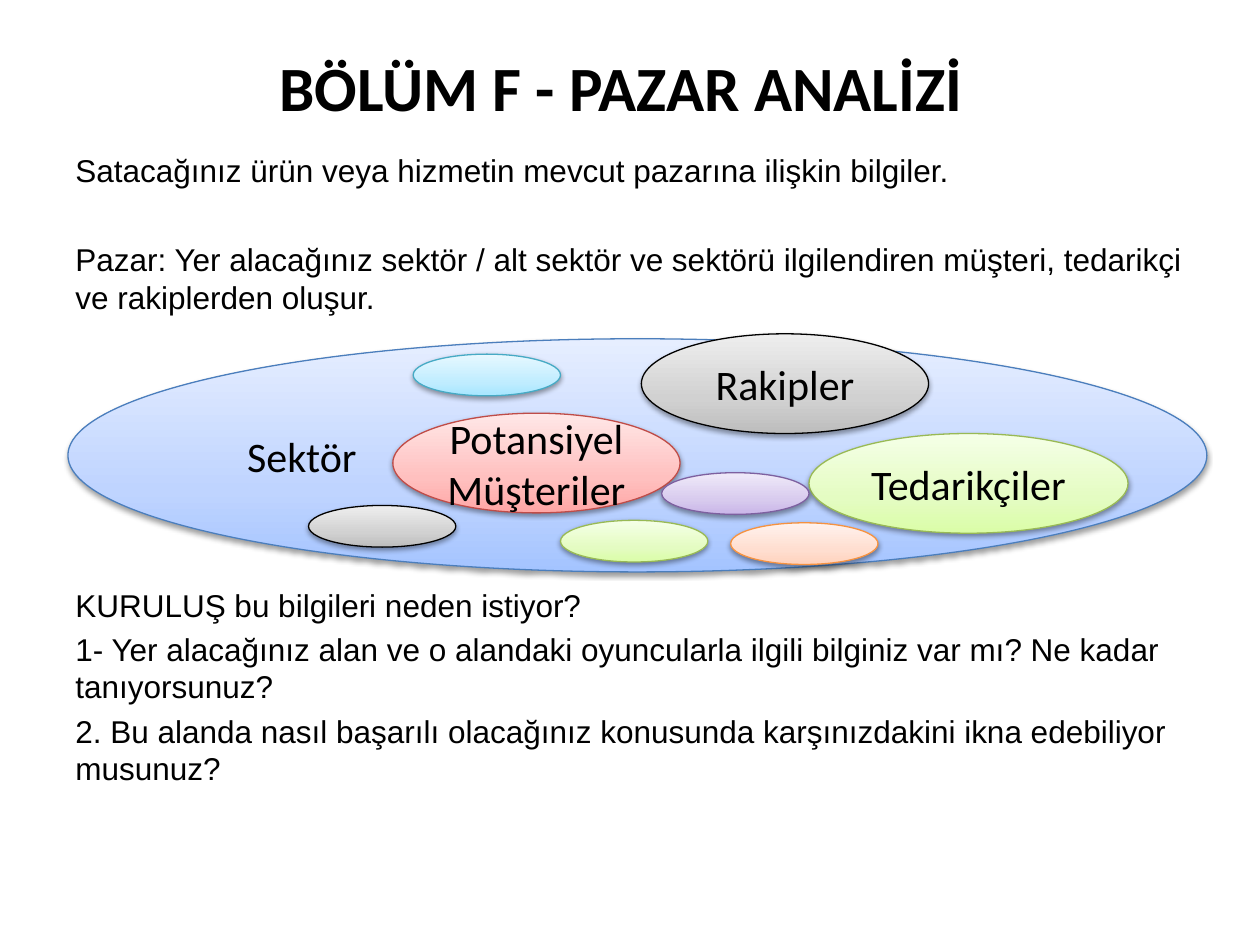
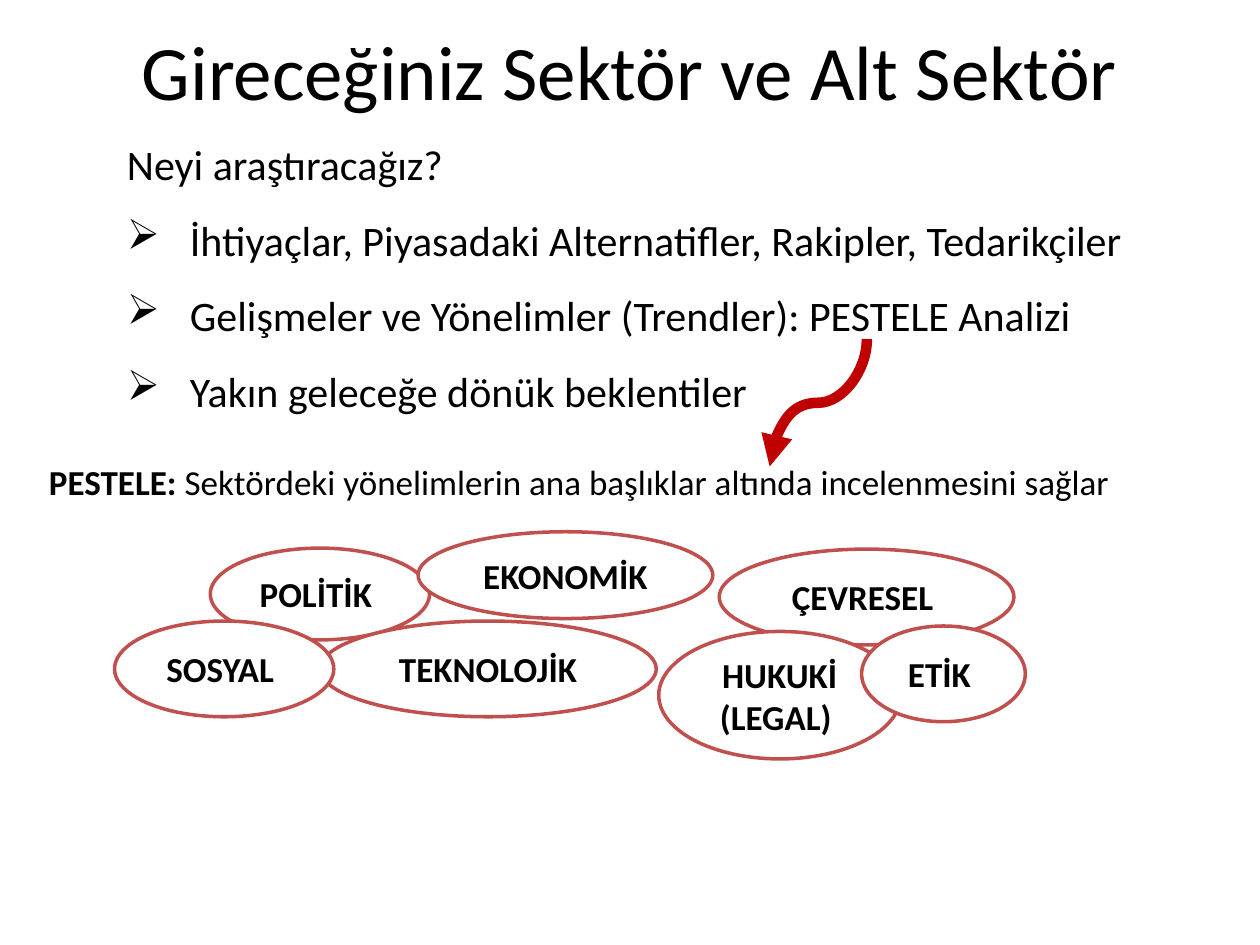
from lxml import etree
from pptx import Presentation
from pptx import util as u
from pptx.dml.color import RGBColor
from pptx.enum import shapes, text
from pptx.oxml import ns

BLACK = RGBColor(0x00, 0x00, 0x00)
WHITE = RGBColor(0xFF, 0xFF, 0xFF)
DARK_RED = RGBColor(0xC0, 0x00, 0x00)
BRICK = RGBColor(0xC0, 0x50, 0x4D)

# Each tint: outline, then the gradient from bottom to top
GRADIENT_POSITIONS = (0, 35, 100)
BLUE, RED, GREEN, GREY, PURPLE, ORANGE, AQUA = (
    tuple(RGBColor.from_string(code) for code in codes.split())
    for codes in (
        "4B7EBC A4C4FF BFD4FF E6EEFF",
        "BF4C48 FFA6A5 FFC0BF FFE7E7",
        "98B955 DAFDA7 E4FCC2 F5FFE7",
        "000000 BDBDBD D1D1D1 EEEEEE",
        "7D60A0 C9B5E8 D8CBEE F0EAF9",
        "F69240 FFD2BD FFDED0 FFF2ED",
        "46AAC5 A7E6FF C1EDFF E7F8FF",
    )
)

LEFT, CENTER = text.PP_ALIGN.LEFT, text.PP_ALIGN.CENTER
TOP, MIDDLE = text.MSO_ANCHOR.TOP, text.MSO_ANCHOR.MIDDLE


def add_xml(parent, tag, **attributes):
    return etree.SubElement(parent, ns.qn(tag), attributes)


def write(frame, paragraphs, font="Calibri", size=24, bold=False, align=LEFT,
          anchor=TOP, spacing=None, before=0, wrap=True, bullets_from=None):
    """Fill a frame; a paragraph is a string or a list of (string, bold) runs."""
    frame.word_wrap = wrap
    frame.vertical_anchor = anchor
    for index, content in enumerate(paragraphs):
        paragraph = frame.add_paragraph() if index else frame.paragraphs[0]
        paragraph.alignment = align
        if spacing:
            paragraph.line_spacing = spacing
        if before and index:
            paragraph.space_before = u.Pt(before)
        if bullets_from is not None and index >= bullets_from:
            properties = paragraph._p.get_or_add_pPr()
            properties.set("marL", str(u.Cm(1.27)))
            properties.set("indent", str(-u.Cm(1.27)))
            add_xml(properties, "a:buChar", char="➢")
        runs = [(content, bold)] if isinstance(content, str) else content
        for words, is_bold in runs:
            run = paragraph.add_run()
            run.text = words
            run.font.name = font
            run.font.size = u.Pt(size)
            run.font.bold = is_bold
            run.font.color.rgb = BLACK


class Deck:
    def __init__(self):
        self.presentation = Presentation()
        self.presentation.slide_width = u.Cm(25.4)
        self.presentation.slide_height = u.Cm(19.05)
        self.slide = None

    def new_slide(self):
        blank = self.presentation.slide_layouts[6]
        self.slide = self.presentation.slides.add_slide(blank)

    def text_box(self, box, paragraphs, **style):
        frame = self.slide.shapes.add_textbox(*map(u.Cm, box)).text_frame
        write(frame, paragraphs, **style)

    def title(self, box, words, **style):
        self.text_box(box, [words], align=CENTER, anchor=MIDDLE, **style)

    def ellipse(self, box, outline, width, label=None, **style):
        oval = self.slide.shapes.add_shape(
            shapes.MSO_SHAPE.OVAL, *map(u.Cm, box))
        oval.shadow.inherit = False
        oval.fill.solid()
        oval.fill.fore_color.rgb = WHITE
        oval.line.color.rgb = outline
        oval.line.width = u.Pt(width)
        if label:
            write(oval.text_frame, [label], anchor=MIDDLE, **style)
        return oval

    def glossy_ellipse(self, box, tint, label=None, align=CENTER):
        """Ellipse with a three-stop gradient and a soft shadow below."""
        outline, *stops = tint
        oval = self.ellipse(box, outline, 0.75, label, align=align)
        oval.fill.gradient()
        oval.fill.gradient_angle = 90
        properties = oval._element.spPr
        stop_list = properties.find(".//" + ns.qn("a:gsLst"))
        stop_list.clear()
        for position, color in zip(GRADIENT_POSITIONS, stops):
            stop = add_xml(stop_list, "a:gs", pos=str(position * 1000))
            add_xml(stop, "a:srgbClr", val=str(color))
        shadow = add_xml(properties.find(ns.qn("a:effectLst")), "a:outerShdw",
                         blurRad=str(u.Pt(3.1)), dist=str(u.Pt(1.6)),
                         dir="5400000", rotWithShape="0")
        shade = add_xml(shadow, "a:srgbClr", val=str(BLACK))
        add_xml(shade, "a:alpha", val="38000")

    def curved_arrow(self, start, end, color, width):
        """Curve given before its quarter turn, so that it leaves downwards."""
        arrow = self.slide.shapes.add_connector(
            shapes.MSO_CONNECTOR.CURVE, *map(u.Cm, (*start, *end)))
        arrow.line.color.rgb = color
        arrow.line.width = u.Pt(width)
        properties = arrow._element.spPr
        properties.find(ns.qn("a:xfrm")).set("rot", "5400000")
        add_xml(properties.find(ns.qn("a:ln")), "a:tailEnd", type="triangle")
        add_xml(properties, "a:effectLst")


def market_analysis(deck):
    deck.new_slide()
    deck.title((1.09, 0.76, 22.86, 1.96), "BÖLÜM F - PAZAR ANALİZİ",
               size=36, bold=True)
    deck.text_box((1.27, 2.92, 22.86, 3.8), [
        "Satacağınız ürün veya hizmetin mevcut pazarına ilişkin bilgiler.",
        "Pazar: Yer alacağınız sektör / alt sektör ve sektörü ilgilendiren "
        "müşteri, tedarikçi ve rakiplerden oluşur.",
    ], font="Arial", size=18, before=29.5)
    deck.text_box((1.27, 11.68, 22.86, 5.34), [
        "KURULUŞ bu bilgileri neden istiyor?",
        "1- Yer alacağınız alan ve o alandaki oyuncularla ilgili bilginiz "
        "var mı? Ne kadar tanıyorsunuz?",
        "2. Bu alanda nasıl başarılı olacağınız konusunda karşınızdakini "
        "ikna edebiliyor musunuz?",
    ], font="Arial", size=18, before=3.6)

    deck.glossy_ellipse((1.37, 6.83, 22.96, 4.7), BLUE, "Sektör", align=LEFT)
    for left, top, width, tint, player in (
        (7.92, 8.33, 5.79, RED, "Potansiyel Müşteriler"),
        (16.31, 8.74, 6.43, GREEN, "Tedarikçiler"),
        (12.93, 6.73, 5.79, GREY, "Rakipler"),
    ):
        deck.glossy_ellipse((left, top, width, 2.01), tint, player)
    for left, top, tint in (
        (11.3, 10.49, GREEN),
        (13.34, 9.53, PURPLE),
        (14.73, 10.54, ORANGE),
        (8.33, 7.14, AQUA),
        (6.22, 10.19, GREY),
    ):
        deck.glossy_ellipse((left, top, 2.97, 0.84), tint)


def sector_research(deck):
    deck.new_slide()
    deck.title((1.27, 0.33, 22.86, 2.16), "Gireceğiniz Sektör ve Alt Sektör",
               size=44)
    deck.text_box((2.31, 2.16, 20.78, 6.25), [
        "Neyi araştıracağız?",
        "İhtiyaçlar, Piyasadaki Alternatifler, Rakipler, Tedarikçiler",
        "Gelişmeler ve Yönelimler (Trendler): PESTELE Analizi",
        "Yakın geleceğe dönük beklentiler",
    ], spacing=1.5, wrap=False, bullets_from=1)
    deck.curved_arrow((15.21, 7.14), (17.78, 9.1), DARK_RED, 6)

    for *box, heading in (
        (4.24, 11.05, 4.42, 1.85, "POLİTİK "),
        (8.43, 10.72, 5.94, 1.75, "EKONOMİK"),
        (6.45, 12.52, 6.78, 1.93, "TEKNOLOJİK"),
        (2.31, 12.52, 4.42, 1.93, "SOSYAL "),
        (14.5, 11.07, 5.94, 1.93, "ÇEVRESEL "),
        (13.28, 12.73, 4.88, 2.57, "HUKUKİ (LEGAL) "),
        (17.37, 12.62, 3.3, 1.93, "ETİK "),
    ):
        deck.ellipse(box, BRICK, 2, heading, size=20, bold=True, align=CENTER)
    deck.text_box((0.25, 8.84, 22.86, 1.75), [[
        ("PESTELE: ", True),
        ("Sektördeki yönelimlerin ana başlıklar altında incelenmesini sağlar",
         False),
    ]], size=20, align=CENTER, anchor=MIDDLE)


def main():
    deck = Deck()
    market_analysis(deck)
    sector_research(deck)
    deck.presentation.save("out.pptx")


if __name__ == "__main__":
    main()
